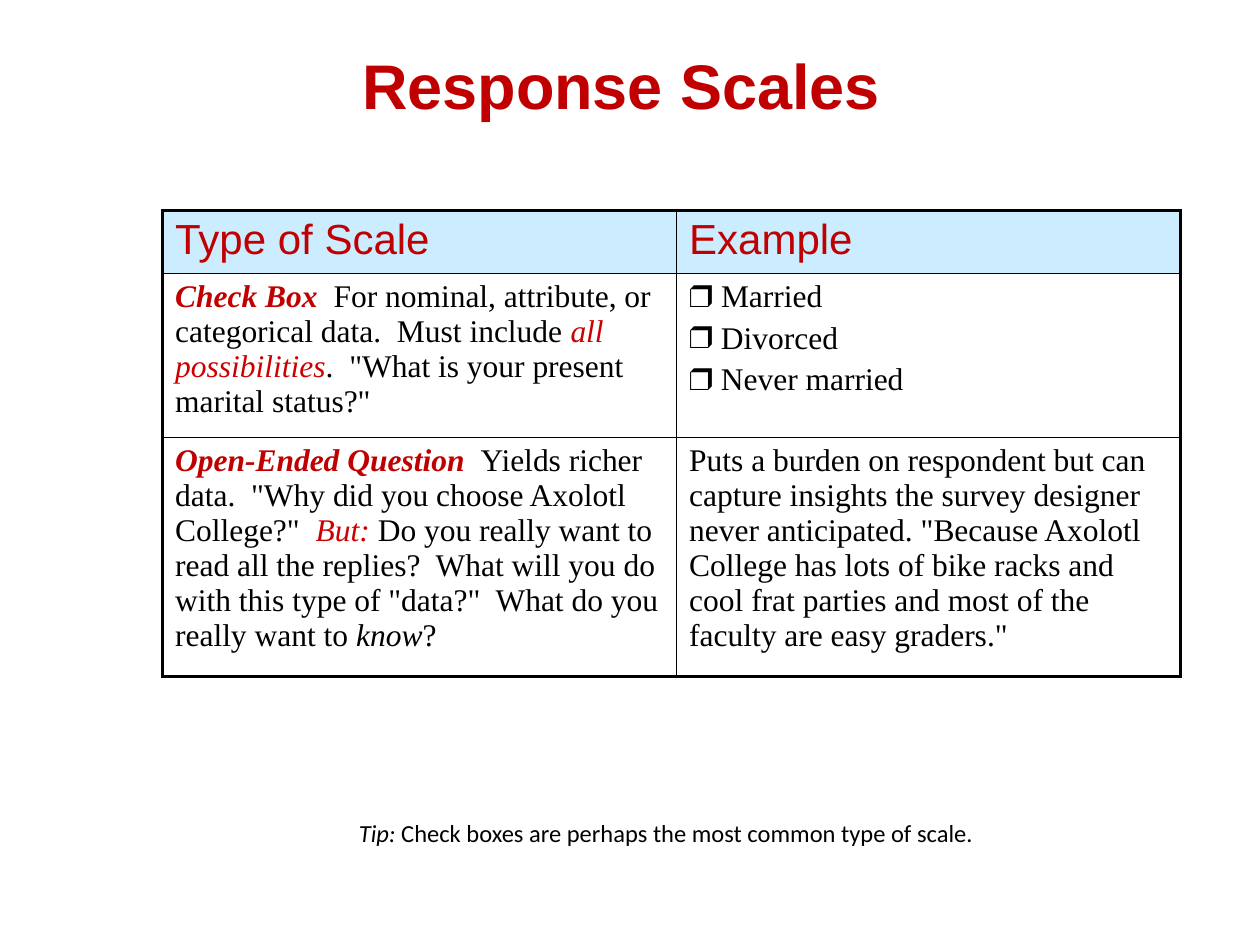
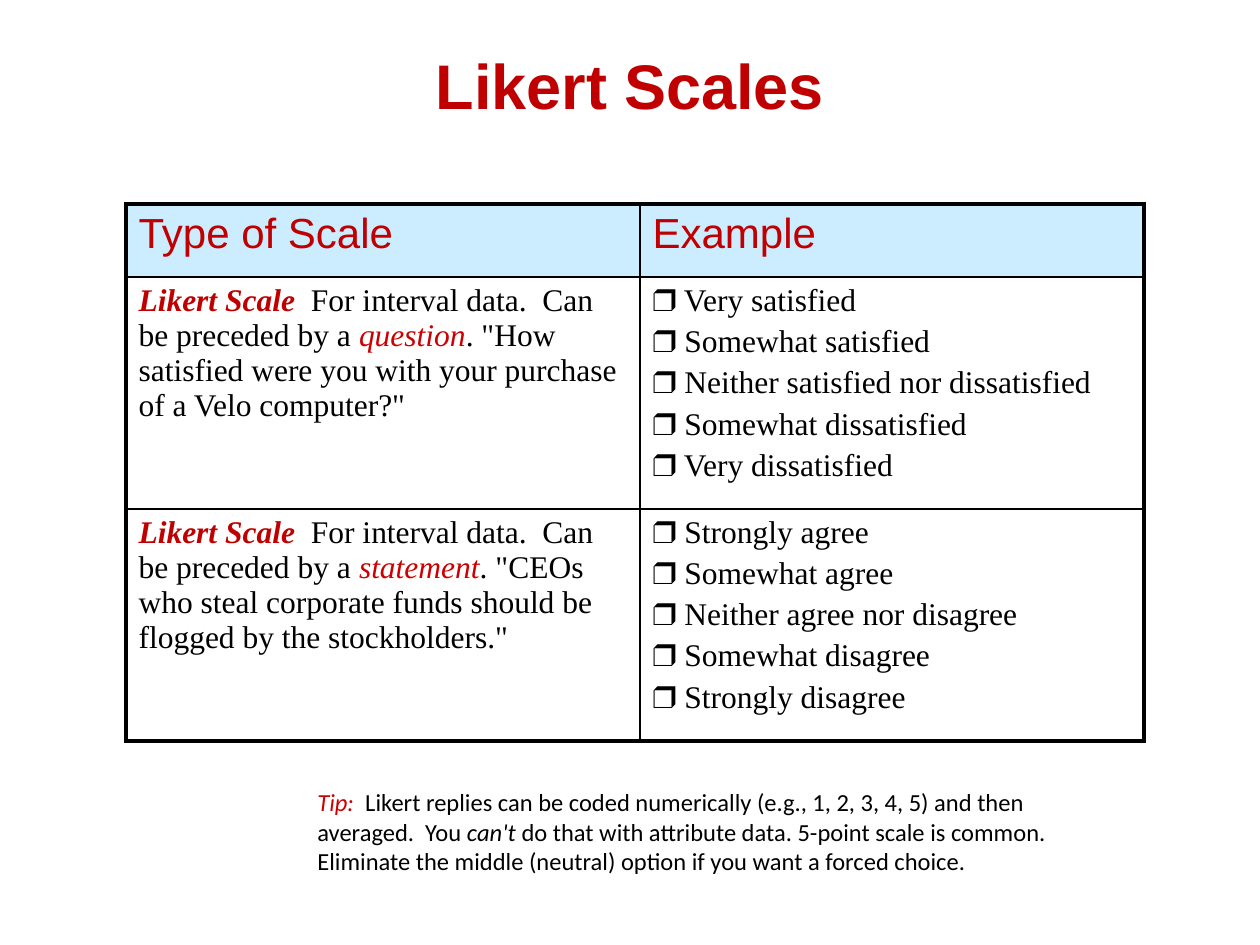
import pptx
import pptx.util
import pptx.dml.color
import pptx.enum.text
import pptx.oxml
import pptx.oxml.ns
from lxml import etree

SCALE = 9144  # EMU per px, 100 px to the inch
COLORS = {
    "title": "C00000",
    "accent": "CC0000",
    "ink": "000000",
    "head": "CCECFF",
    "paper": "FFFFFF",
}
# style: colour, bold, italic
STYLES = {
    "plain": ("ink", False, False),
    "em": ("ink", False, True),
    "key": ("accent", False, True),
    "term": ("title", True, True),
    "head": ("title", False, False),
    "title": ("title", True, False),
}
HEAD = ("Arial", 24)
BODY = ("Times New Roman", 18)
TIP = ("Calibri", 14)
TITLE = ("Arial", 36)
MARK = "❒"
COLS = (408, 400)
THICK, THIN = 2.25, 1


def px(count):
    return pptx.util.Emu(count * SCALE)


def color(name):
    return pptx.dml.color.RGBColor.from_string(COLORS[name])


def write(para, runs, face):
    """Add (text, style) runs to a paragraph in one (font, size)."""
    for text, style in runs:
        run = para.add_run()
        run.text = text
        ink, bold, slant = STYLES[style]
        font = run.font
        font.name, font.size = face[0], pptx.util.Pt(face[1])
        font.bold, font.italic = bold, slant
        font.color.rgb = color(ink)


def bullet(para, face):
    props = para._p.get_or_add_pPr()
    props.set("marL", "0")
    props.set("indent", "0")
    font = etree.SubElement(props, pptx.oxml.ns.qn("a:buFont"))
    font.set("typeface", face[0])
    char = etree.SubElement(props, pptx.oxml.ns.qn("a:buChar"))
    char.set("char", MARK)


def edge(cell, side, width):
    """Draw one side (L, R, T or B) of a cell."""
    props = cell._tc.get_or_add_tcPr()
    line = etree.SubElement(props, pptx.oxml.ns.qn(f"a:ln{side}"))
    line.set("w", str(pptx.util.Pt(width)))
    fill = etree.SubElement(line, pptx.oxml.ns.qn("a:solidFill"))
    ink = etree.SubElement(fill, pptx.oxml.ns.qn("a:srgbClr"))
    ink.set("val", COLORS["ink"])


def fill_cell(cell, paras, face):
    """Write paragraphs, each a pair of (has bullet, runs)."""
    frame = cell.text_frame
    for index, (marked, runs) in enumerate(paras):
        para = frame.add_paragraph() if index else frame.paragraphs[0]
        if marked:
            bullet(para, face)
        if index:
            para.space_before = pptx.util.Pt(face[1] * 0.2)
        write(para, runs, face)


def prose(*runs):
    return [(False, runs)]


def checks(labels, typed):
    """Check-box lines; those whose index is in typed hold the mark as text."""
    return [
        (False, [(f"{MARK} {label}", "plain")]) if index in typed
        else (True, [(f" {label}", "plain")])
        for index, label in enumerate(labels)
    ]


def add_grid(slide, left, top, heights, body):
    head = [prose((text, "head")) for text in ("Type of Scale", "Example")]
    rows = [head] + body
    shape = slide.shapes.add_table(len(rows), len(COLS), px(left), px(top),
                                   px(sum(COLS)), px(sum(heights)))
    table = shape.table
    table.first_row = table.horz_banding = False
    for col, width in zip(table.columns, COLS):
        col.width = px(width)
    last_row, last_col = len(rows) - 1, len(COLS) - 1
    for r, row in enumerate(rows):
        table.rows[r].height = px(heights[r])
        for c, paras in enumerate(row):
            cell = table.cell(r, c)
            outer = {"L": c == 0, "R": c == last_col,
                     "T": r == 0, "B": r == last_row}
            for side, rim in outer.items():
                edge(cell, side, THICK if rim else THIN)
            cell.fill.solid()
            cell.fill.fore_color.rgb = color("paper" if r else "head")
            fill_cell(cell, paras, BODY if r else HEAD)


def add_text(slide, place, runs, face):
    box = slide.shapes.add_textbox(*map(px, place))
    frame = box.text_frame
    frame.word_wrap = True
    write(frame.paragraphs[0], runs, face)
    return frame


def add_title(slide, text):
    frame = add_text(slide, (0, 25, 1000, 84), [(text, "title")], TITLE)
    frame.vertical_anchor = pptx.enum.text.MSO_ANCHOR.MIDDLE
    frame.paragraphs[0].alignment = pptx.enum.text.PP_ALIGN.CENTER


def add_tip(slide, place, *runs):
    frame = add_text(slide, place, runs, TIP)
    frame.auto_size = pptx.enum.text.MSO_AUTO_SIZE.SHAPE_TO_FIT_TEXT


def likert(kind, quote):
    return prose(
        ("Likert Scale  ", "term"),
        ("For interval data.  Can be preceded by a ", "plain"),
        (kind, "key"),
        (f'. "{quote}"', "plain"),
    )


def show_types(slide):
    add_title(slide, "Response Scales ")
    box = prose(
        ("Check Box  ", "term"),
        ("For nominal, attribute, or categorical data.  Must include ", "plain"),
        ("all possibilities", "key"),
        ('.  "What is your present marital status?"', "plain"),
    )
    status = checks(("Married", "Divorced", "Never married"), {0})
    query = prose(
        ("Open-Ended Question  ", "term"),
        ('Yields richer data.  "Why did you choose Axolotl College?"  ', "plain"),
        ("But:", "key"),
        (" Do you really want to read all the replies?  What will you do with "
         'this type of "data?"  What do you really want to ', "plain"),
        ("know", "em"),
        ("?", "plain"),
    )
    reply = prose(
        ("Puts a burden on respondent but can capture insights the survey "
         'designer never anticipated. "Because Axolotl College has lots of bike '
         'racks and cool frat parties and most of the faculty are easy graders."',
         "plain"),
    )
    add_grid(slide, 129, 167, (50, 130, 190), [[box, status], [query, reply]])
    add_tip(slide, (275, 644, 533, 34), ("Tip: ", "em"),
            ("Check boxes are perhaps the most common type of scale.", "plain"))


def show_likert(slide):
    add_title(slide, "Likert Scales")
    typed = {0, 1, 4}
    body = [
        [likert("question", "How satisfied were you with your purchase "
                "of a Velo computer?"),
         checks(("Very satisfied", "Somewhat satisfied",
                 "Neither satisfied nor dissatisfied",
                 "Somewhat dissatisfied", "Very dissatisfied"), typed)],
        [likert("statement", "CEOs who steal corporate funds should be "
                "flogged by the stockholders."),
         checks(("Strongly agree", "Somewhat agree",
                 "Neither agree nor disagree",
                 "Somewhat disagree", "Strongly disagree"), typed)],
    ]
    add_grid(slide, 100, 162, (58, 184, 184), body)
    add_tip(slide, (242, 620, 642, 81), ("Tip:", "key"),
            ("  Likert replies can be coded numerically (e.g., 1, 2, 3, 4, 5) "
             "and then averaged.  You ", "plain"),
            ("can't ", "em"),
            ("do that with attribute data. 5-point scale is common. Eliminate "
             "the middle (neutral) option if you want a forced choice.", "plain"))


def main():
    deck = pptx.Presentation()
    deck.slide_width, deck.slide_height = px(1000), px(750)
    blank = deck.slide_layouts[6]
    for show in (show_types, show_likert):
        show(deck.slides.add_slide(blank))
    deck.save("out.pptx")


if __name__ == "__main__":
    main()
